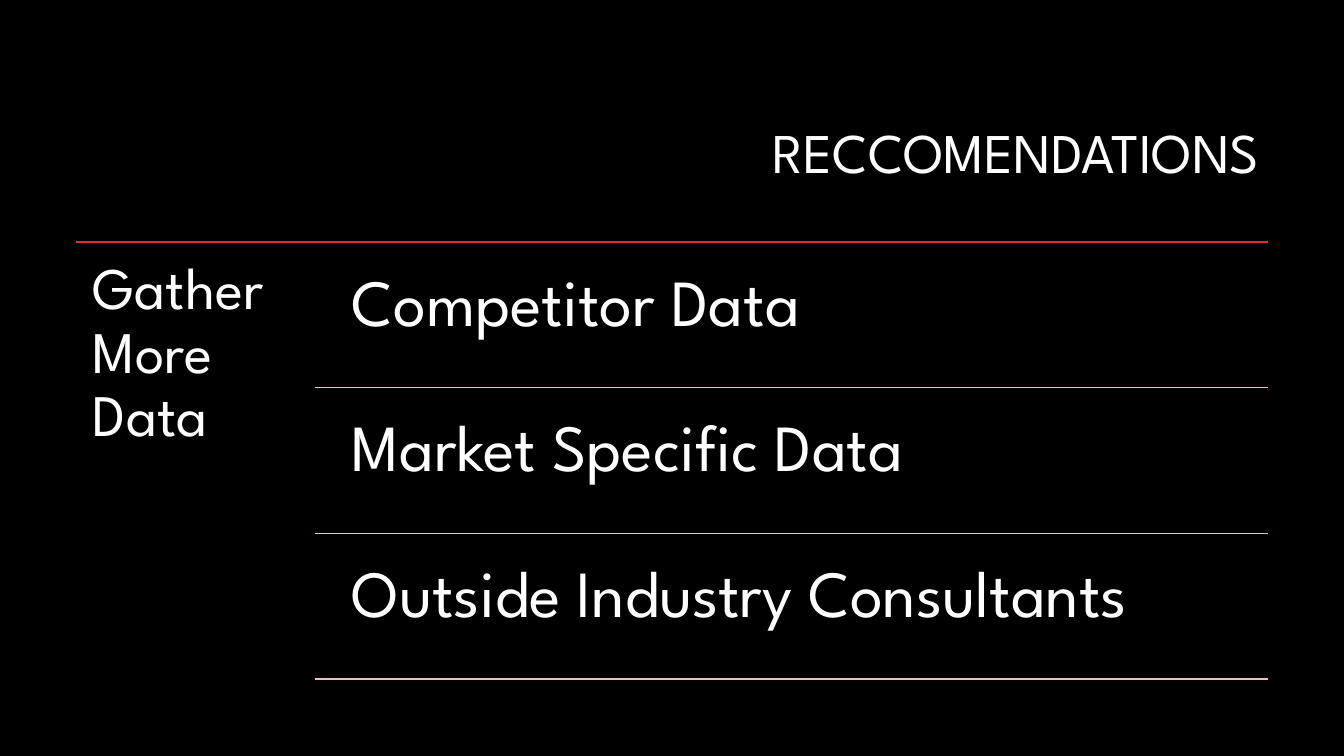
from dataclasses import dataclass

from lxml.etree import SubElement
from pptx import Presentation
from pptx.dml.color import RGBColor
from pptx.enum.shapes import MSO_CONNECTOR
from pptx.enum.text import MSO_ANCHOR, MSO_AUTO_SIZE, PP_ALIGN
from pptx.oxml.ns import qn
from pptx.util import Inches, Pt

HEADING = "RECCOMENDATIONS"
ACTION = "Gather More Data"
DATA_SOURCES = ["Competitor Data", "Market Specific Data", "Outside Industry Consultants"]


@dataclass(frozen=True)
class Theme:
    font: str = "League Spartan"
    background: RGBColor = RGBColor.from_string("000000")
    text: RGBColor = RGBColor.from_string("FFFFFF")
    accent: RGBColor = RGBColor.from_string("DF2E28")
    divider: RGBColor = RGBColor.from_string("F0BEBE")
    heading_size: int = 40
    action_size: int = 42
    source_size: int = 47
    rule_width: int = 1


THEME = Theme()
LEFT, RIGHT, TOP = 0.75, 12.58, 2.4
DIVIDER_LEFT, SOURCE_LEFT = 3.12, 3.29
ROW_PITCH, ROW_GAP, ROW_HEIGHT = 1.445, 0.07, 1.38


def write(frame, text, size, align=PP_ALIGN.LEFT):
    frame.word_wrap = True
    frame.auto_size = MSO_AUTO_SIZE.NONE
    frame.text = text
    paragraph = frame.paragraphs[0]
    paragraph.alignment = align
    paragraph.line_spacing = 0.9
    paragraph.font.name = THEME.font
    paragraph.font.size = Pt(size)
    paragraph.font.color.rgb = THEME.text


def add_text(slide, text, left, top, width, height, inset, size):
    box = slide.shapes.add_textbox(Inches(left), Inches(top), Inches(width), Inches(height))
    frame = box.text_frame
    frame.margin_left = frame.margin_right = Inches(inset)
    frame.margin_top = frame.margin_bottom = Inches(inset)
    frame.vertical_anchor = MSO_ANCHOR.TOP
    write(frame, text, size)


def add_rule(slide, left, top, color):
    rule = slide.shapes.add_connector(
        MSO_CONNECTOR.STRAIGHT, Inches(left), Inches(top), Inches(RIGHT), Inches(top))
    rule.line.color.rgb = color
    rule.line.width = Pt(THEME.rule_width)
    SubElement(rule._element.spPr, qn("a:effectLst"))


def main():
    deck = Presentation()
    deck.slide_width, deck.slide_height = Inches(13.33), Inches(7.5)
    slide = deck.slides.add_slide(deck.slide_layouts[5])
    slide.background.fill.solid()
    slide.background.fill.fore_color.rgb = THEME.background

    heading = slide.shapes.title
    heading.left, heading.top = Inches(3.17), Inches(0.84)
    heading.width, heading.height = Inches(9.42), Inches(1.41)
    heading.text_frame.vertical_anchor = MSO_ANCHOR.MIDDLE
    write(heading.text_frame, HEADING, THEME.heading_size, PP_ALIGN.RIGHT)

    add_rule(slide, LEFT, TOP, THEME.accent)
    add_text(slide, ACTION, LEFT, TOP, DIVIDER_LEFT - LEFT, 4.4, 0.17, THEME.action_size)

    for row, source in enumerate(DATA_SOURCES):
        row_top = TOP + row * ROW_PITCH
        add_text(slide, source, SOURCE_LEFT, row_top + ROW_GAP,
                 RIGHT - SOURCE_LEFT, ROW_HEIGHT, 0.2, THEME.source_size)
        add_rule(slide, DIVIDER_LEFT, row_top + ROW_PITCH, THEME.divider)

    deck.save("out.pptx")


if __name__ == "__main__":
    main()
